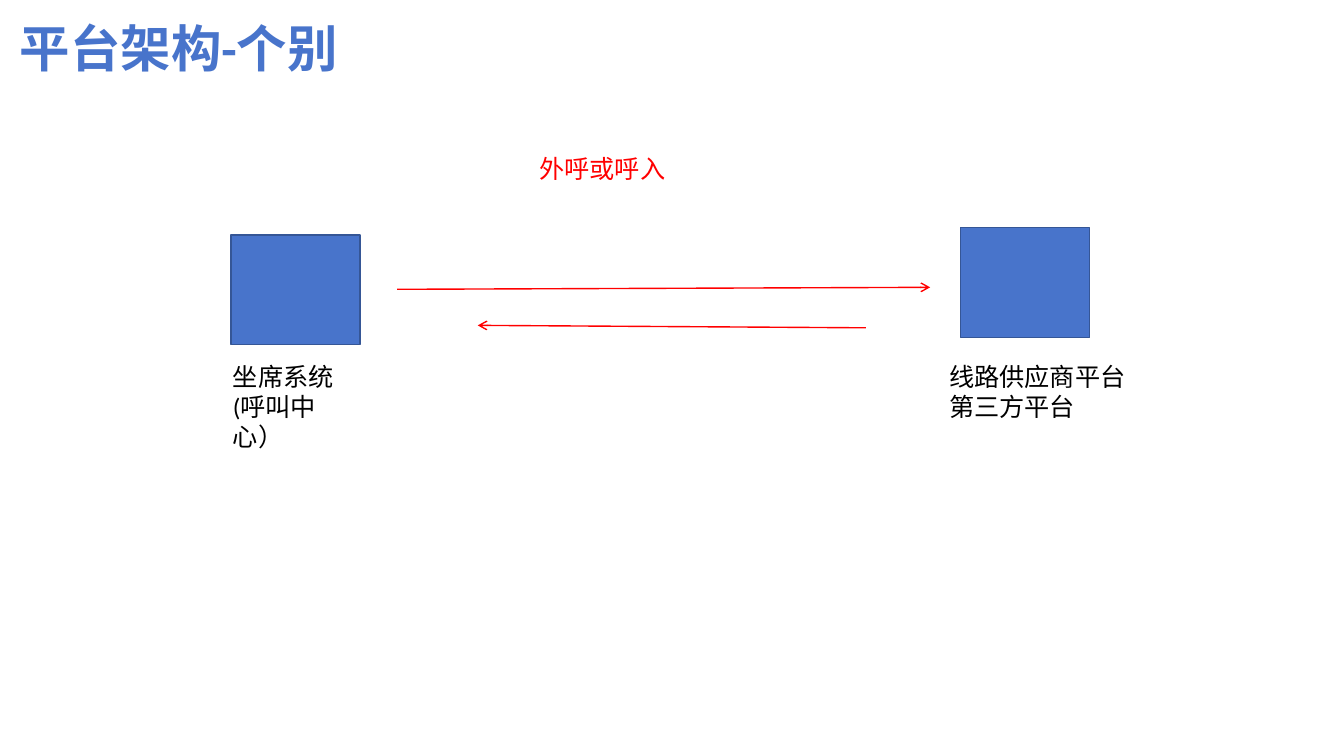
from pptx import Presentation
from pptx.dml.color import RGBColor
from pptx.enum.shapes import MSO_CONNECTOR, MSO_SHAPE
from pptx.enum.text import MSO_AUTO_SIZE, PP_ALIGN
from pptx.oxml.ns import qn
from pptx.util import Cm, Pt
from lxml.etree import SubElement

BLUE, NAVY, RED, BLACK = "4874CB", "355696", "FF0000", "000000"


def paint(color_format, hex_color):
    """Set a colour format from a hex string."""
    color_format.rgb = RGBColor.from_string(hex_color)


def add_text(slide, box, lines, color=BLACK, size=18, bold=False, align=PP_ALIGN.LEFT):
    """Write one paragraph per line in a wrapping text box."""
    frame = slide.shapes.add_textbox(*map(Cm, box)).text_frame
    frame.word_wrap = True
    frame.auto_size = MSO_AUTO_SIZE.SHAPE_TO_FIT_TEXT
    for index, line in enumerate(lines):
        paragraph = frame.add_paragraph() if index else frame.paragraphs[0]
        paragraph.alignment = align
        run = paragraph.add_run()
        run.text = line
        run.font.name = "Calibri"
        run.font.size = Pt(size)
        run.font.bold = bold
        paint(run.font.color, color)


def add_platform(slide, box, label_box, label):
    """Draw a platform block, with its label placed relative to the block."""
    left, top, width, height = box
    block = slide.shapes.add_shape(MSO_SHAPE.RECTANGLE, *map(Cm, box))
    block.shadow.inherit = False
    block.fill.solid()
    paint(block.fill.fore_color, BLUE)
    paint(block.line.color, NAVY)
    block.line.width = Pt(1)
    dx, dy, label_width, label_height = label_box
    add_text(slide, (left + dx, top + height + dy, label_width, label_height), label)


def add_call_arrow(slide, start, end):
    """Draw a red call arrow pointing at its end."""
    arrow = slide.shapes.add_connector(MSO_CONNECTOR.STRAIGHT, *map(Cm, start + end))
    paint(arrow.line.color, RED)
    arrow.line.width = Pt(1)
    SubElement(arrow.line._get_or_add_ln(), qn("a:tailEnd"), type="arrow")
    SubElement(arrow._element.spPr, qn("a:effectLst"))


def add_call_flow(slide, box):
    """Place the call caption and both arrows within the box."""
    left, top, width, _ = box
    add_text(slide, (left + 3.33, top, 4.78, 1.02), ["外呼或呼入"], RED)
    add_call_arrow(slide, (left, top + 3.56), (left + width, top + 3.51))
    add_call_arrow(slide, (left + 11.81, top + 4.53), (left + 2.03, top + 4.47))


def main():
    """Build and save the platform architecture slide."""
    deck = Presentation()
    deck.slide_width, deck.slide_height = Cm(33.87), Cm(19.05)
    slide = deck.slides.add_slide(deck.slide_layouts[6])
    add_text(slide, (0.25, 0.3, 8.51, 1.8), ["平台架构-个别"], BLUE, 36, True, PP_ALIGN.CENTER)
    add_platform(slide, (5.82, 5.92, 3.25, 2.77), (-0.2, 0.28, 3.73, 1.8),
                 ["坐席系统", "(呼叫中心）"])
    add_platform(slide, (24.21, 5.74, 3.25, 2.77), (-0.54, 0.46, 5.28, 1.8),
                 ["线路供应商平台", "第三方平台"])
    add_call_flow(slide, (10.01, 3.73, 13.43, 4.53))
    deck.save("out.pptx")


if __name__ == "__main__":
    main()
